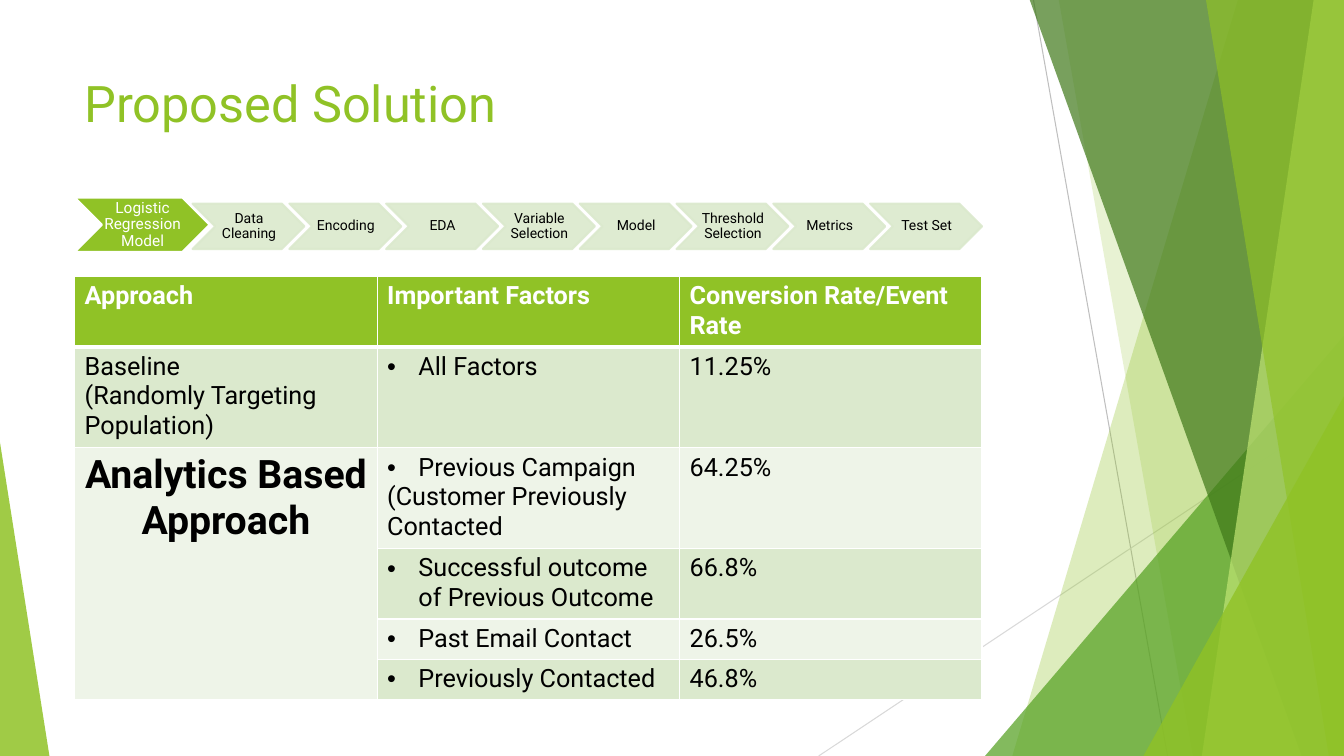
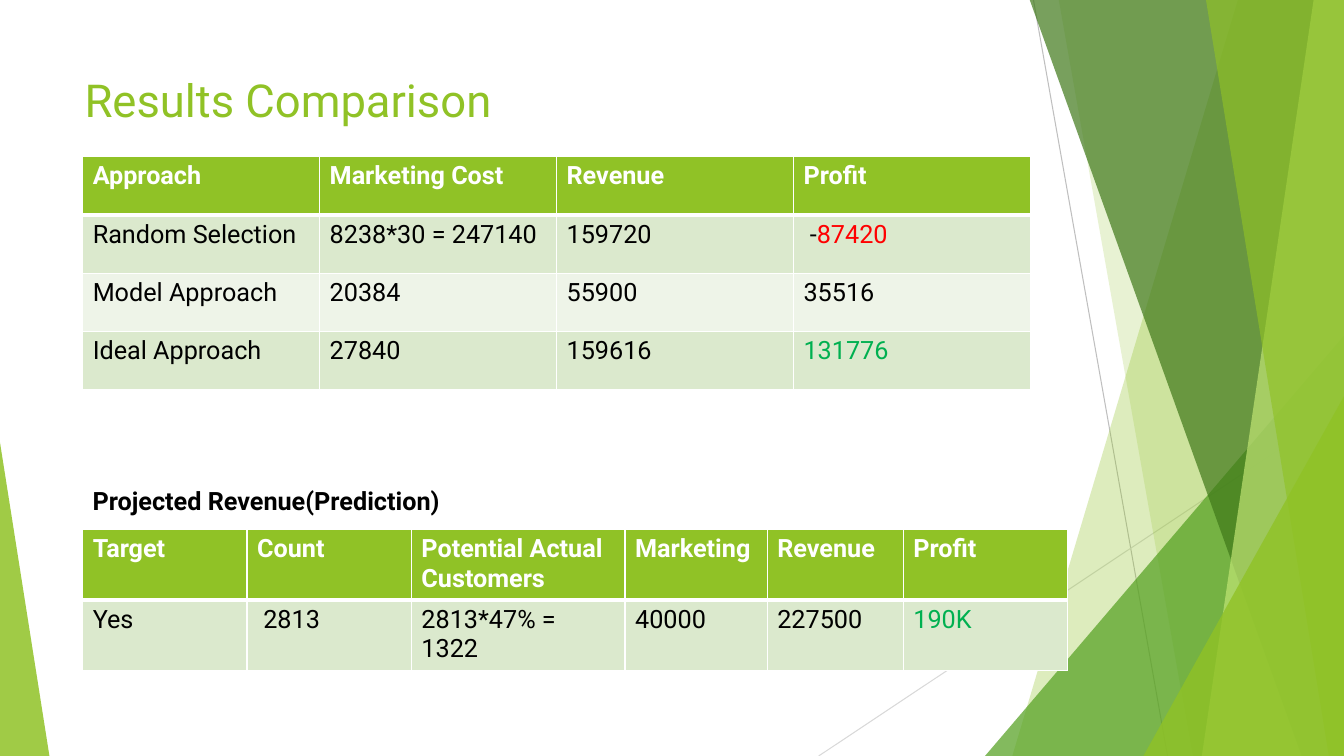
from lxml import etree
from pptx import Presentation
from pptx.dml.color import RGBColor
from pptx.enum.shapes import MSO_CONNECTOR, MSO_SHAPE
from pptx.enum.text import MSO_ANCHOR, PP_ALIGN
from pptx.oxml.ns import qn
from pptx.util import Inches, Pt

STRAIGHT = MSO_CONNECTOR.STRAIGHT
TRIANGLE = MSO_SHAPE.ISOSCELES_TRIANGLE
CHEVRON = MSO_SHAPE.CHEVRON
MIDDLE = MSO_ANCHOR.MIDDLE
CENTER = PP_ALIGN.CENTER

GREEN = RGBColor(0x90, 0xC2, 0x26)
MID_GREEN = RGBColor(0x54, 0xA0, 0x21)
DARK_GREEN = RGBColor(0x3F, 0x78, 0x19)
LIME = RGBColor(0xC0, 0xE4, 0x74)
PALE = RGBColor(0xDB, 0xE9, 0xCD)
PALER = RGBColor(0xEE, 0xF4, 0xE8)
WHITE = RGBColor(0xFF, 0xFF, 0xFF)
BLACK = RGBColor(0, 0, 0)
RED = RGBColor(0xFF, 0, 0)
PROFIT_GREEN = RGBColor(0, 0xB0, 0x50)
GRAY = RGBColor(0xBF, 0xBF, 0xBF)
LIGHT_GRAY = RGBColor(0xD9, 0xD9, 0xD9)

FONT = "Roboto"
WIDTH, HEIGHT = 13.33, 7.5
HEADER_RULE, RULE = 3, 1


def add_run(p, text, size=18, color=BLACK, bold=False):
    r = p.add_run()
    r.text = text
    r.font.name = FONT
    r.font.size = Pt(size)
    r.font.color.rgb = color
    r.font.bold = bold


def add_text(tf, text, align=None, spacing=None, bullet=False, **fmt):
    p = tf.paragraphs[-1]
    if p.runs:
        p = tf.add_paragraph()
    p.alignment = align
    p.line_spacing = spacing
    if bullet:
        pPr = p._p.get_or_add_pPr()
        pPr.set("marL", str(Inches(0.31)))
        pPr.set("indent", str(-Inches(0.31)))
        etree.SubElement(pPr, qn("a:buFont"), typeface="Arial")
        etree.SubElement(pPr, qn("a:buChar"), char="•")
    add_run(p, text, **fmt)
    return p


def add_textbox(s, text, x, y, w, h, **fmt):
    tf = s.shapes.add_textbox(*map(Inches, (x, y, w, h))).text_frame
    tf.word_wrap = True
    add_text(tf, text, **fmt)


def paint(sp, color, opacity=100, line=None):
    sp.shadow.inherit = False
    sp.fill.solid()
    sp.fill.fore_color.rgb = color
    if line is None:
        sp.line.fill.background()
    else:
        sp.line.color.rgb = line
        sp.line.width = Pt(1.5)
    if opacity < 100:
        for clr in sp.element.spPr.iter(qn("a:srgbClr")):
            etree.SubElement(clr, qn("a:alpha"), val=str(opacity * 1000))


def add_line(s, x1, y1, x2, y2, color):
    c = s.shapes.add_connector(STRAIGHT, *map(Inches, (x1, y1, x2, y2)))
    c.line.color.rgb = color
    c.line.width = Pt(0.75)
    etree.SubElement(c.element.spPr, qn("a:effectLst"))


def add_band(s, top_x, bottom_x, color, opacity):
    top, bottom, right = Inches(-0.01), Inches(HEIGHT), Inches(WIDTH)
    fb = s.shapes.build_freeform(Inches(top_x), top)
    fb.add_line_segments([(right, top), (right, bottom), (Inches(bottom_x), bottom)])
    paint(fb.convert_to_shape(), color, opacity)


def add_triangle(s, x, y, w, apex, color, opacity):
    sp = s.shapes.add_shape(TRIANGLE, *map(Inches, (x, y, w, HEIGHT - y)))
    sp.adjustments[0] = apex
    paint(sp, color, opacity)


def add_backdrop(s):
    add_line(s, 10.25, 0, 11.58, HEIGHT, GRAY)
    add_line(s, WIDTH, 4.03, 8.12, HEIGHT, LIGHT_GRAY)
    add_band(s, 12.28, 10.04, GREEN, 30)
    add_band(s, 10.5, 11.83, GREEN, 20)
    add_triangle(s, 9.77, 3.33, 3.56, 1, MID_GREEN, 72)
    add_band(s, 10.21, 12.91, DARK_GREEN, 70)
    add_band(s, 13.03, 11.92, LIME, 70)
    add_band(s, 11.96, 13.18, GREEN, 65)
    add_triangle(s, 11.34, 3.93, 1.99, 1, GREEN, 80)
    add_triangle(s, 0, 4.39, 0.49, 0, GREEN, 85)


def add_slide(prs, title, size):
    s = prs.slides.add_slide(prs.slide_layouts[6])
    add_backdrop(s)
    add_textbox(s, title, 0.74, 0.67, 9.16, 0.69, size=size, color=GREEN)
    return s


def add_step(s, text, x, y, w, h, fill, line, opacity=100, **fmt):
    sp = s.shapes.add_shape(CHEVRON, *map(Inches, (x, y, w, h)))
    paint(sp, fill, opacity, line)
    tf = sp.text_frame
    tf.word_wrap = True
    tf.vertical_anchor = MIDDLE
    tf.margin_left = tf.margin_top = tf.margin_bottom = Inches(0.01)
    tf.margin_right = 0
    add_text(tf, text, align=CENTER, spacing=0.9, **fmt)


def add_steps(s, first, others):
    add_step(s, first, 0.74, 1.96, 1.34, 0.54, GREEN, WHITE, size=11, color=WHITE)
    for i, text in enumerate(others):
        add_step(s, text, 1.91 + 0.96 * i, 2.02, 1.11, 0.45, PALE, PALE, 90, size=10)


def set_borders(cell, top, bottom):
    tcPr = cell._tc.get_or_add_tcPr()
    for side, width in (("L", RULE), ("R", RULE), ("T", top), ("B", bottom)):
        ln = etree.SubElement(tcPr, qn(f"a:ln{side}"), w=str(Pt(width)))
        fill = etree.SubElement(ln, qn("a:solidFill"))
        etree.SubElement(fill, qn("a:srgbClr"), val=str(WHITE))


def add_table(s, x, y, widths, heights, rows, bullet_col=None):
    size = map(Inches, (x, y, sum(widths), sum(heights)))
    table = s.shapes.add_table(len(rows), len(widths), *size).table
    table.horz_banding = False
    for col, w in zip(table.columns, widths):
        col.width = Inches(w)
    for i, (row, h, texts) in enumerate(zip(table.rows, heights, rows)):
        row.height = Inches(h)
        head = i == 0
        for j, (cell, text) in enumerate(zip(row.cells, texts)):
            set_borders(cell, HEADER_RULE if i == 1 else RULE, HEADER_RULE if head else RULE)
            cell.fill.solid()
            cell.fill.fore_color.rgb = GREEN if head else PALE if i % 2 else PALER
            for k, line in enumerate(text.splitlines()):
                bullet = j == bullet_col and not head and k == 0
                add_text(cell.text_frame, line, bullet=bullet,
                         color=WHITE if head else BLACK, bold=head)
    return table


def build_solution(prs):
    s = add_slide(prs, "Proposed Solution", 36)
    add_steps(s, "Logistic Regression Model",
              ["Data Cleaning", "Encoding", "EDA", "Variable Selection", "Model",
               "Threshold Selection", "Metrics", "Test Set"])
    table = add_table(s, 0.74, 2.74, [3] * 3, [0.69, 0.98, 0.98, 0.69, 0.4, 0.4], [
        ["Approach", "Important Factors", "Conversion Rate/Event Rate"],
        ["Baseline\n(Randomly Targeting Population)", "All Factors", "11.25%"],
        ["", "Previous Campaign\n(Customer Previously Contacted", "64.25%"],
        ["", "Successful outcome of Previous Outcome", "66.8%"],
        ["", "Past Email Contact", "26.5%"],
        ["", "Previously Contacted", "46.8%"],
    ], bullet_col=1)
    analytics = table.cell(2, 0)
    analytics.merge(table.cell(5, 0))
    add_text(analytics.text_frame, "Analytics Based Approach", align=CENTER, size=28, bold=True)


def build_results(prs):
    s = add_slide(prs, "Results Comparison", 32.4)
    comparison = add_table(s, 0.82, 1.55, [2.35] * 4, [0.58] * 4, [
        ["Approach", "Marketing Cost", "Revenue", "Profit"],
        ["Random Selection", "8238*30 = 247140", "159720", ""],
        ["Model Approach", "20384", "55900", "35516"],
        ["Ideal Approach", "27840", "159616", ""],
    ])
    loss = add_text(comparison.cell(1, 3).text_frame, " -")
    add_run(loss, "87420", color=RED)
    add_text(comparison.cell(3, 3).text_frame, "131776", color=PROFIT_GREEN)
    projection = add_table(s, 0.82, 5.25, [1.63, 1.63, 2.12, 1.41, 1.35, 1.63], [0.68] * 2, [
        ["Target", "Count", "Potential Actual Customers", "Marketing", "Revenue", "Profit"],
        ["Yes", " 2813", "2813*47% = 1322", "40000", "227500", ""],
    ])
    add_text(projection.cell(1, 5).text_frame, "190K", color=PROFIT_GREEN)
    add_textbox(s, "Projected Revenue(Prediction)", 0.82, 4.77, 6.75, 0.4, bold=True)


def main():
    prs = Presentation()
    prs.slide_width = Inches(WIDTH)
    prs.slide_height = Inches(HEIGHT)
    build_solution(prs)
    build_results(prs)
    prs.save("out.pptx")


if __name__ == "__main__":
    main()
